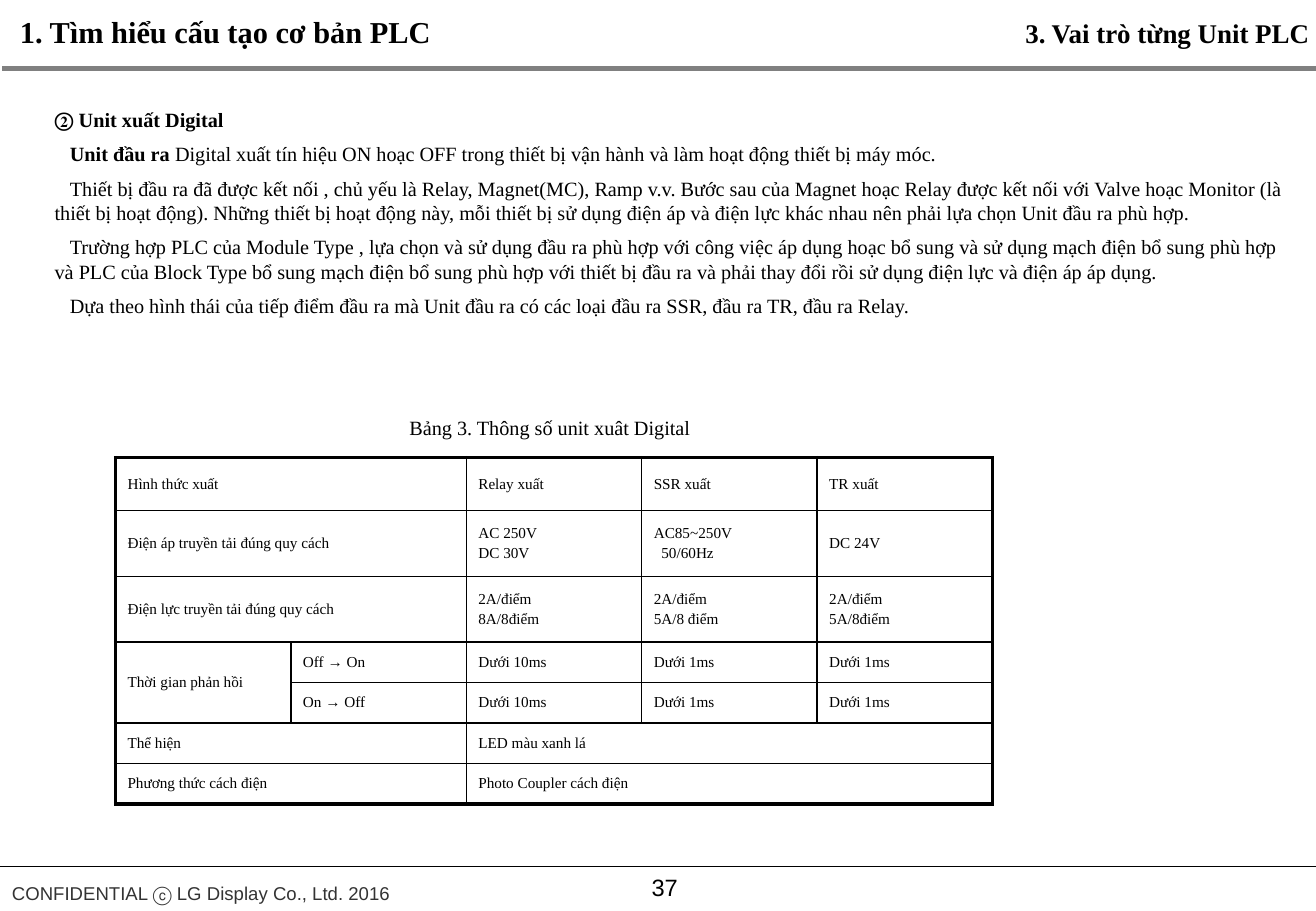
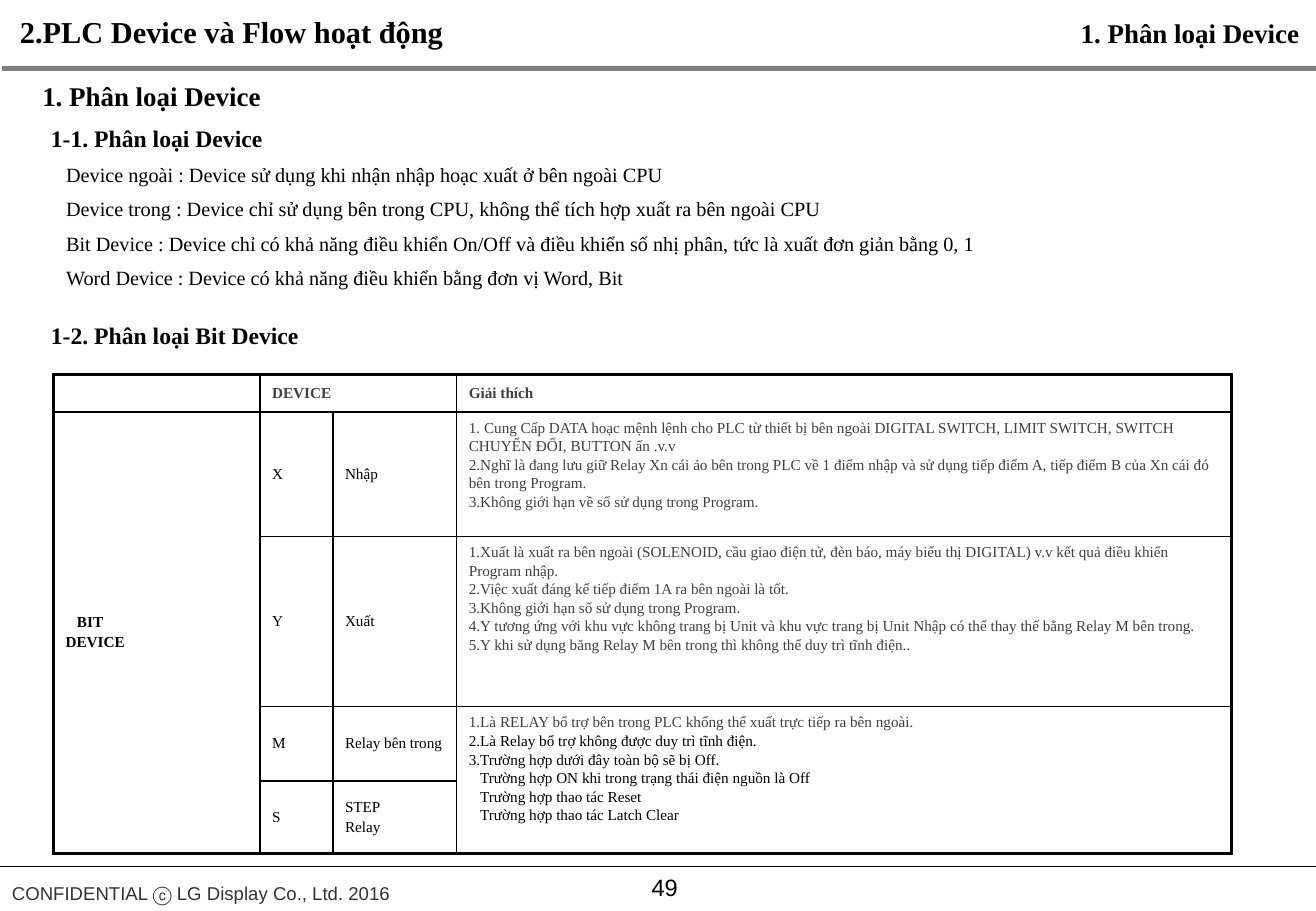
import pptx
import pptx.dml.color
import pptx.enum.shapes
import pptx.enum.text
import pptx.oxml.ns
import pptx.util
from lxml import etree

Pt = pptx.util.Pt
RGBColor = pptx.dml.color.RGBColor
ALIGN = pptx.enum.text.PP_ALIGN
ANCHOR = pptx.enum.text.MSO_ANCHOR
qn = pptx.oxml.ns.qn

BLACK = RGBColor(0x00, 0x00, 0x00)
DARK_GRAY = RGBColor(0x33, 0x33, 0x33)
TABLE_GRAY = RGBColor(0x40, 0x40, 0x40)
RULE_GRAY = RGBColor(0x80, 0x80, 0x80)
SERIF = "Times New Roman"
SANS = "Arial"
WIDTH, HEIGHT = 780, 540
OUTER_BORDER, INNER_BORDER = 2.25, 1
NO_GRID_STYLE = "{2D5ABB26-0587-4C30-8999-92F81FD0307C}"


def add_text(frame, text, lead="", size=12, bold=False, color=BLACK, font=SERIF, align=ALIGN.LEFT,
             before=0, line_spacing=1.0, indent=0):
    """Append one paragraph per line of text; lead is a bold run before each line."""
    frame.word_wrap = True
    for line in text.split("\n"):
        first = len(frame.paragraphs) == 1 and not frame.paragraphs[0].runs
        paragraph = frame.paragraphs[0] if first else frame.add_paragraph()
        properties = paragraph._p.get_or_add_pPr()
        properties.set("marL", "0")
        properties.set("indent", str(Pt(indent)))
        etree.SubElement(properties, qn("a:buNone"))
        paragraph.alignment = align
        paragraph.space_before = Pt(0 if first else before)
        paragraph.line_spacing = line_spacing
        for run_text, run_bold in ((lead, True), (line, bold)):
            if run_text:
                run = paragraph.add_run()
                run.text = run_text
                run.font.name = font
                run.font.size = Pt(size)
                run.font.bold = run_bold
                run.font.color.rgb = color


def add_grid(slide, left, top, widths, heights, rows, merges):
    """Add a ruled table; a cell is a string, a list of (text, format) pairs, or None if merged."""
    table = slide.shapes.add_table(len(heights), len(widths), Pt(left), Pt(top),
                                   Pt(sum(widths)), Pt(sum(heights))).table
    table.first_row = table.horz_banding = False
    table._tbl.tblPr.find(qn("a:tableStyleId")).text = NO_GRID_STYLE
    for column, width in zip(table.columns, widths):
        column.width = Pt(width)
    for row, height in zip(table.rows, heights):
        row.height = Pt(height)
    for start, end in merges:
        table.cell(*start).merge(table.cell(*end))
    for r, row in enumerate(rows):
        for c, content in enumerate(row):
            cell = table.cell(r, c)
            cell.vertical_anchor = ANCHOR.MIDDLE
            parts = [(content, {})] if isinstance(content, str) else content or []
            for text, text_format in parts:
                add_text(cell.text_frame, text, **{"size": 9, "before": 1.8, **text_format})
            last_row, last_column = r, c
            if cell.is_merge_origin:
                last_row, last_column = r + cell.span_height - 1, c + cell.span_width - 1
            edges = (("a:lnL", c == 0), ("a:lnR", last_column == len(widths) - 1),
                     ("a:lnT", r == 0), ("a:lnB", last_row == len(heights) - 1))
            for tag, outer in edges:
                if cell.is_spanned and not outer:
                    continue
                border = etree.SubElement(cell._tc.get_or_add_tcPr(), qn(tag),
                                          w=str(Pt(OUTER_BORDER if outer else INNER_BORDER)))
                fill = etree.SubElement(border, qn("a:solidFill"))
                etree.SubElement(fill, qn("a:srgbClr"), val=str(BLACK))
            cell.fill.background()
    return table


presentation = pptx.Presentation()
presentation.slide_width, presentation.slide_height = Pt(WIDTH), Pt(HEIGHT)

# Each page: title, section, right edge of section, page number, body box
pages = [
    ("1. Tìm hiểu cấu tạo cơ bản PLC", "3. Vai trò từng Unit PLC", 776, "37", (25.2, 59.8, 747.4, 138)),
    ("2.PLC Device và Flow hoạt động", "1. Phân loại Device", 770, "49", (23, 69.8, 640, 150)),
]
slides, bodies = [], []
for title_text, section, section_right, number, body_box in pages:
    slide = presentation.slides.add_slide(presentation.slide_layouts[1])
    title, body = slide.placeholders
    for shape, box in ((title, (4.6, 4.3, 400, 29)), (body, body_box)):
        shape.left, shape.top, shape.width, shape.height = map(Pt, box)
        shape.text_frame.auto_size = pptx.enum.text.MSO_AUTO_SIZE.NONE
        shape.text_frame.vertical_anchor = ANCHOR.TOP
    add_text(title.text_frame, title_text, size=18, bold=True)

    for left, y, color, weight in ((1.5, 40.5, RULE_GRAY, 3), (0, 513.6, BLACK, 0.75)):
        rule = slide.shapes.add_connector(pptx.enum.shapes.MSO_CONNECTOR.STRAIGHT,
                                          Pt(left), Pt(y), Pt(WIDTH), Pt(y))
        rule.line.color.rgb = color
        rule.line.width = Pt(weight)
        etree.SubElement(rule._element.spPr, qn("a:effectLst"))

    section_box = slide.shapes.add_textbox(Pt(section_right - 200), Pt(6.5), Pt(200), Pt(26.6))
    section_box.text_frame.margin_right = 0
    add_text(section_box.text_frame, section, size=16, bold=True, align=ALIGN.RIGHT)
    footer = slide.shapes.add_textbox(Pt(0), Pt(516.6), Pt(260), Pt(21.6))
    add_text(footer.text_frame, "CONFIDENTIAL ⓒ LG Display Co., Ltd. 2016",
             size=11, font=SANS, color=DARK_GRAY, line_spacing=1.2)
    page_number = slide.shapes.add_textbox(Pt(319), Pt(514), Pt(150), Pt(24))
    page_number.text_frame.vertical_anchor = ANCHOR.MIDDLE
    add_text(page_number.text_frame, number, size=14, font=SANS, align=ALIGN.CENTER)
    slides.append(slide)
    bodies.append(body.text_frame)

list_format = {"before": 6, "indent": 9}

# Digital output unit
output_slide, output_body = slides[0], bodies[0]
add_text(output_body, "② Unit xuất Digital", bold=True)
add_text(output_body, "Digital xuất tín hiệu ON hoạc OFF trong thiết bị vận hành và làm hoạt động thiết bị máy móc.",
         lead="Unit đầu ra ", **list_format)
add_text(output_body,
         "Thiết bị đầu ra đã được kết nối , chủ yếu là Relay, Magnet(MC), Ramp v.v. Bước sau của Magnet "
         "hoạc Relay được kết nối với Valve hoạc Monitor (là thiết bị hoạt động). Những thiết bị hoạt động "
         "này, mỗi thiết bị sử dụng điện áp và điện lực khác nhau nên phải lựa chọn Unit đầu ra phù hợp.\n"
         "Trường hợp PLC của Module Type , lựa chọn và sử dụng đầu ra phù hợp với công việc áp dụng hoạc "
         "bổ sung và sử dụng mạch điện bổ sung phù hợp và PLC của Block Type bổ sung mạch điện bổ sung "
         "phù hợp với thiết bị đầu ra và phải thay đổi rồi sử dụng điện lực và điện áp áp dụng.\n"
         "Dựa theo hình thái của tiếp điểm đầu ra mà Unit đầu ra có các loại đầu ra SSR, đầu ra TR, "
         "đầu ra Relay.", **list_format)
caption = output_slide.shapes.add_textbox(Pt(226), Pt(242.6), Pt(200), Pt(21.6))
add_text(caption.text_frame, "Bảng 3. Thông số unit xuât Digital", align=ALIGN.CENTER)
add_grid(
    output_slide, 68.4, 271.2, [104] * 5, [31.5, 39, 39] + [24] * 4,
    [
        ["Hình thức xuất", None, "Relay xuất", "SSR xuất", "TR xuất"],
        ["Điện áp truyền tải đúng quy cách", None, "AC 250V\nDC 30V",
         [("AC85~250V", {}), ("50/60Hz", {"indent": 4.5})], "DC 24V"],
        ["Điện lực truyền tải đúng quy cách", None, "2A/điểm\n8A/8điểm", "2A/điểm\n5A/8 điểm",
         "2A/điểm\n5A/8điểm"],
        ["Thời gian phản hồi", "Off → On", "Dưới 10ms", "Dưới 1ms", "Dưới 1ms"],
        [None, "On → Off", "Dưới 10ms", "Dưới 1ms", "Dưới 1ms"],
        ["Thể hiện", None, "LED màu xanh lá", None, None],
        ["Phương thức cách điện", None, "Photo Coupler cách điện", None, None],
    ],
    [((row, 0), (row, 1)) for row in (0, 1, 2, 5, 6)]
    + [((row, 2), (row, 4)) for row in (5, 6)] + [((3, 0), (4, 0))])

# Device classification
device_slide, device_body = slides[1], bodies[1]
heading = device_slide.shapes.add_textbox(Pt(18), Pt(43.6), Pt(200), Pt(26.6))
add_text(heading.text_frame, "1. Phân loại Device", size=16, bold=True)
add_text(device_body, "1-1. Phân loại Device", size=14, bold=True)
add_text(device_body,
         "Device ngoài : Device sử dụng khi nhận nhập hoạc xuất ở bên ngoài CPU\n"
         "Device trong : Device chỉ sử dụng bên trong CPU, không thể tích hợp xuất ra bên ngoài CPU\n"
         "Bit Device : Device chỉ có khả năng điều khiển On/Off và điều khiển số nhị phân, "
         "tức là xuất đơn giản bằng 0, 1\n"
         "Word Device : Device có khả năng điều khiển bằng đơn vị Word, Bit", **list_format)
add_text(device_body, "1-2. Phân loại Bit Device", size=14, bold=True, before=18.5)

header_format = {"bold": True, "color": TABLE_GRAY}
note_format = {"before": 0, "line_spacing": 1.1}
gray_note = {**note_format, "color": TABLE_GRAY}
device_table = add_grid(
    device_slide, 31.7, 221.8, [122.4, 43.2, 73.4, 459.4], [22.3, 74, 100.8, 44, 43],
    [
        [None, [("DEVICE", header_format)], None, [("Giải thích", header_format)]],
        [[("BIT", {"bold": True, "indent": 6.75}), ("DEVICE", {"bold": True})], "X", "Nhập",
         [("1. Cung Cấp DATA hoạc mệnh lệnh cho PLC từ thiết bị bên ngoài DIGITAL SWITCH, LIMIT SWITCH, "
           "SWITCH CHUYỂN ĐỔI, BUTTON ấn .v.v\n"
           "2.Nghĩ là đang lưu giữ Relay Xn cái ảo bên trong PLC về 1 điểm nhập và sử dụng tiếp điểm A, "
           "tiếp điểm B của Xn cái đó bên trong Program.\n"
           "3.Không giới hạn về số sử dụng trong Program.", gray_note)]],
        [None, "Y", "Xuất",
         [("1.Xuất là xuất ra bên ngoài (SOLENOID, cầu giao điện tử, đèn báo, máy biểu thị DIGITAL) v.v "
           "kết quả điều khiển Program nhập.\n"
           "2.Việc xuất đáng kể tiếp điểm 1A ra bên ngoài là tốt.\n"
           "3.Không giới hạn số sử dụng trong Program.\n"
           "4.Y tương ứng với khu vực không trang bị Unit và khu vực trang bị Unit Nhập có thể thay thế "
           "bằng Relay M bên trong.\n"
           "5.Y khi sử dụng băng Relay M bên trong thì không thể duy trì tĩnh điện..", gray_note)]],
        [None, "M", "Relay bên trong",
         [("1.Là RELAY bổ trợ bên trong PLC khổng thể xuất trực tiếp ra bên ngoài.", gray_note),
          ("2.Là Relay bổ trợ không được duy trì tĩnh điện.\n"
           "3.Trường hợp dưới đây toàn bộ sẽ bị Off.", note_format),
          ("Trường hợp ON khi trong trạng thái điện nguồn là Off\n"
           "Trường hợp thao tác Reset\n"
           "Trường hợp thao tác Latch Clear", {**note_format, "indent": 6.75})]],
        [None, "S", "STEP\nRelay", None],
    ],
    [((0, 1), (0, 2)), ((1, 0), (4, 0)), ((3, 3), (4, 3))])
for row in (1, 2, 3):
    device_table.cell(row, 3).vertical_anchor = ANCHOR.TOP
# The empty corner must not stretch the header row
corner = device_table.cell(0, 0)
corner.margin_top = corner.margin_bottom = 0

presentation.save("out.pptx")
